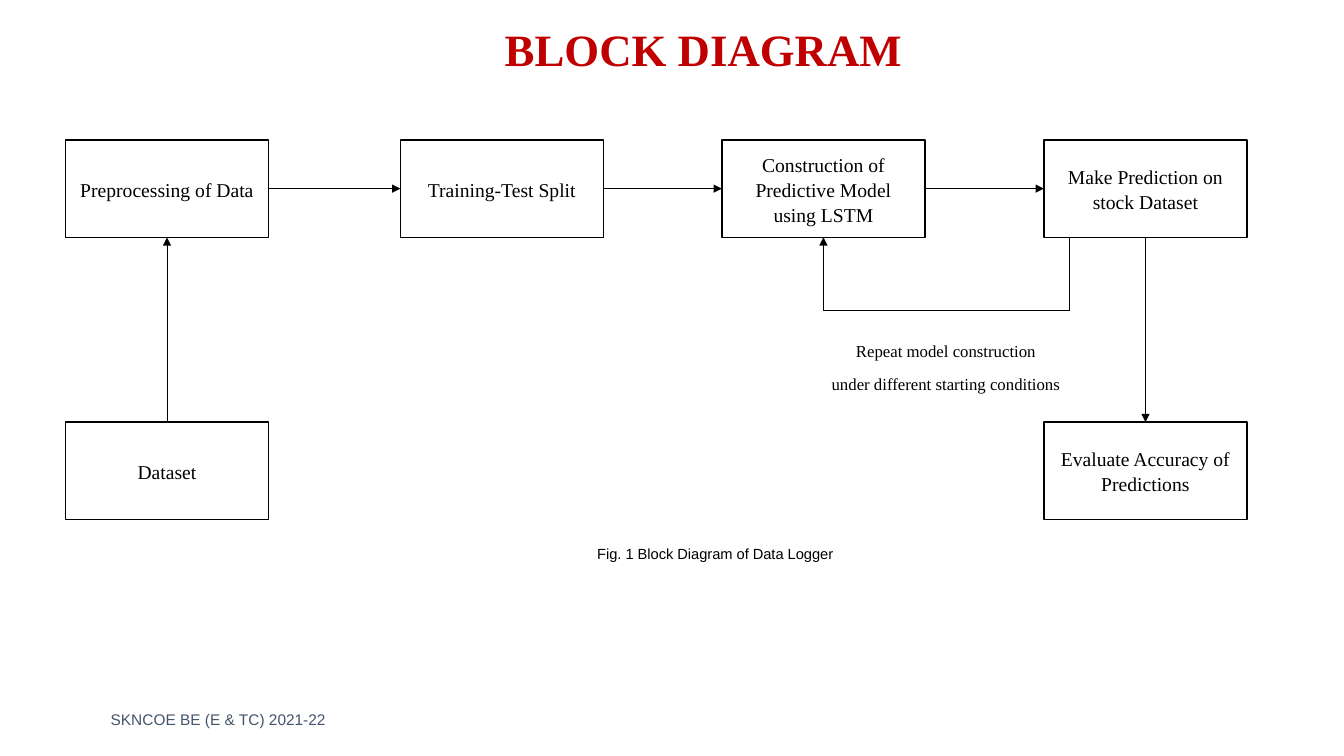
from itertools import pairwise

from lxml import etree
from pptx import Presentation
from pptx import util as u
from pptx.dml.color import RGBColor
from pptx.enum import shapes, text
from pptx.oxml import ns

SERIF, SANS = "Times New Roman", "Arial"
BLACK, WHITE, RED, SLATE = "000000", "FFFFFF", "C00000", "44546A"
TOP, LEFT, BOTTOM, RIGHT = range(4)
CENTER = text.PP_ALIGN.CENTER
MIDDLE = text.MSO_ANCHOR.MIDDLE


def color(value):
    return RGBColor.from_string(value)


class Diagram:
    box_width, box_height = 145, 69.5

    def __init__(self, page):
        self.page = page

    def set_text(self, shape, lines, size, font=SERIF, ink=BLACK, bold=False,
                 align=CENTER, anchor=MIDDLE, spacing=1.0, after=0):
        frame = shape.text_frame
        frame.word_wrap = True
        frame.vertical_anchor = anchor
        frame.text = "\n".join(lines)
        for para in frame.paragraphs:
            para.alignment = align
            para.line_spacing = spacing
            para.space_after = u.Pt(after)
            para.font.name = font
            para.font.size = u.Pt(size)
            para.font.bold = bold
            para.font.color.rgb = color(ink)

    def label(self, left, top, width, height, words, size, **style):
        box = self.page.shapes.add_textbox(*map(u.Pt, (left, top, width, height)))
        self.set_text(box, [words], size, **style)

    def block(self, left, top, lines, width=box_width, height=box_height,
              size=14, outline=BLACK):
        box = self.page.shapes.add_shape(
            shapes.MSO_SHAPE.RECTANGLE, *map(u.Pt, (left, top, width, height)))
        box.shadow.inherit = False
        box.fill.solid()
        box.fill.fore_color.rgb = color(WHITE)
        box.line.color.rgb = color(outline)
        box.line.width = u.Pt(1)
        self.set_text(box, lines, size, spacing=1.07, after=8)
        return box

    def line(self, start=(0, 0), end=(0, 0), arrow=True):
        connector = self.page.shapes.add_connector(
            shapes.MSO_CONNECTOR.STRAIGHT, *map(u.Pt, (*start, *end)))
        connector.line.color.rgb = color(BLACK)
        connector.line.width = u.Pt(0.5)
        properties = connector._element.spPr
        if arrow:
            outline = properties.find(ns.qn("a:ln"))
            etree.SubElement(outline, ns.qn("a:tailEnd"), type="triangle")
        etree.SubElement(properties, ns.qn("a:effectLst"))
        return connector

    def link(self, source, source_side, target, target_side):
        connector = self.line()
        connector.begin_connect(source, source_side)
        connector.end_connect(target, target_side)


deck = Presentation()
deck.slide_width, deck.slide_height = u.Pt(960), u.Pt(540)
diagram = Diagram(deck.slides.add_slide(deck.slide_layouts[6]))

diagram.label(106.5, 10.5, 792, 53.5, "BLOCK DIAGRAM", 32, ink=RED, bold=True, spacing=0.9)

upper, lower = 100, 301.5
stages = [
    (46.8, "Preprocessing of Data"),
    (286, "Training-Test Split"),
    (515.7, "Construction of Predictive Model using LSTM"),
    (745.7, "Make Prediction on stock Dataset"),
]
flow = [diagram.block(left, upper, [words]) for left, words in stages]
preprocessing, split, model, prediction = flow
evaluation = diagram.block(stages[-1][0], lower, ["Evaluate Accuracy of Predictions"])
dataset = diagram.block(stages[0][0], lower, ["Dataset"])
diagram.block(561, 235.5, ["Repeat model construction", "under different starting conditions"],
              width=229.5, height=52.5, size=12, outline=WHITE)

for source, target in pairwise(flow):
    diagram.link(source, RIGHT, target, LEFT)
diagram.link(dataset, TOP, preprocessing, BOTTOM)
diagram.link(prediction, BOTTOM, evaluation, TOP)

box_bottom, loop_bottom = upper + diagram.box_height, 221.5
loop_start, loop_end = 764, stages[2][0] + diagram.box_width / 2
loop = [(loop_start, box_bottom), (loop_start, loop_bottom),
        (loop_end, loop_bottom), (loop_end, box_bottom)]
for start, end in pairwise(loop):
    diagram.line(start, end, arrow=end == loop[-1])

diagram.label(190, 386, 642, 20, "Fig. 1 Block Diagram of Data Logger", 10.5,
              font=SANS, anchor=text.MSO_ANCHOR.TOP)
diagram.label(72, 499, 498, 29, "SKNCOE BE (E & TC) 2021-22", 11,
              font=SANS, ink=SLATE, align=text.PP_ALIGN.LEFT)

deck.save("out.pptx")
